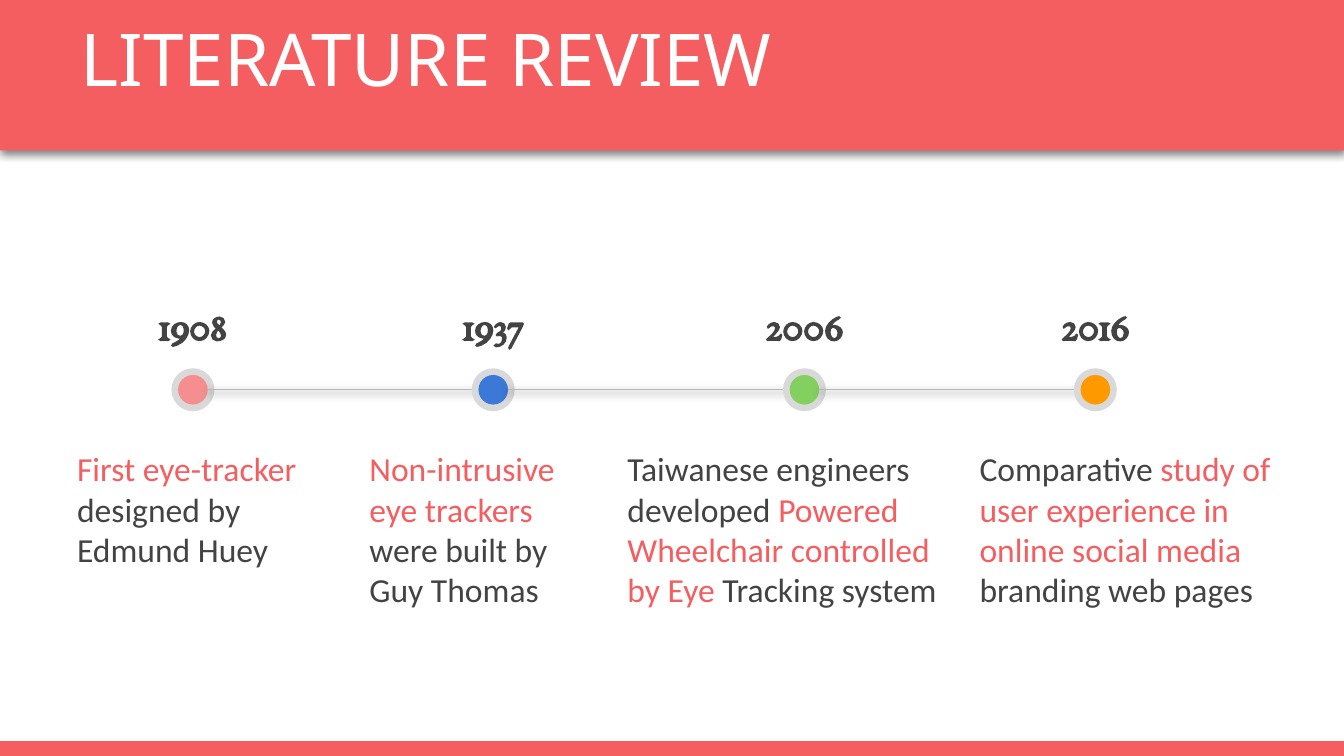
import pptx
import pptx.util
import pptx.dml.color
import pptx.enum.shapes
import pptx.enum.text
import pptx.oxml.ns
from lxml import etree
from pptx.util import Inches, Pt

CORAL, GRAY, WHITE = "F55E61", "434343", "FFFFFF"
WIDTH, HEIGHT = 10, 10 * 9 / 16
RING, DOT = 0.32, 0.22
AXIS_Y = 2.9

# Milestones: year, dot centre, dot colour, text left, text width, (text, colour) runs
MILESTONES = [
    ("1908", 1.435, "F58F8F", 0.475, 1.92,
     [("First eye-tracker", CORAL), (" designed by Edmund Huey", GRAY)]),
    ("1937", 3.67, "3C78D8", 2.65, 1.92,
     [("Non-intrusive eye trackers", CORAL), (" were built by Guy Thomas ", GRAY)]),
    ("2006", 5.985, "83D061", 4.57, 2.62,
     [("Taiwanese engineers developed ", GRAY),
      ("Powered Wheelchair controlled by Eye", CORAL),
      (" Tracking system", GRAY)]),
    ("2016", 8.15, "FF9900", 7.19, 2.44,
     [("Comparative ", GRAY),
      ("study of user experience in online social media", CORAL),
      (" branding web pages", GRAY)]),
]


def color(value):
    return pptx.dml.color.RGBColor.from_string(value)


def place(shape, left, top, width, height):
    shape.left, shape.top = Inches(left), Inches(top)
    shape.width, shape.height = Inches(width), Inches(height)


def fill_plain(shape, fill):
    shape.fill.solid()
    shape.fill.fore_color.rgb = color(fill)
    shape.line.fill.background()
    shape.shadow.inherit = False


def add_shadow(properties, opacity):
    """Give a shape or connector a soft shadow straight below it."""
    name = pptx.oxml.ns.qn
    effects = properties.find(name("a:effectLst"))
    if effects is None:
        effects = etree.SubElement(properties, name("a:effectLst"))
    shadow = etree.SubElement(
        effects, name("a:outerShdw"), blurRad=str(Pt(4.5)), dist=str(Pt(1.5)),
        dir="5400000", algn="bl", rotWithShape="0")
    shade = etree.SubElement(shadow, name("a:srgbClr"), val="000000")
    etree.SubElement(shade, name("a:alpha"), val=str(opacity * 1000))


def format_run(run, font, size, value, bold=False):
    run.font.name, run.font.size, run.font.bold = font, Pt(size), bold
    run.font.color.rgb = color(value)


def set_frame(shape, anchor):
    frame = shape.text_frame
    frame.word_wrap = True
    frame.auto_size = pptx.enum.text.MSO_AUTO_SIZE.NONE
    frame.vertical_anchor = anchor
    frame.margin_left = frame.margin_right = Inches(0.1)
    frame.margin_top = frame.margin_bottom = Inches(0.1)
    return frame


def add_title(slide, text):
    title = slide.shapes.title
    place(title, 0, 0, WIDTH, 1.12)
    fill_plain(title, CORAL)
    add_shadow(title.element.spPr, 50)
    frame = set_frame(title, pptx.enum.text.MSO_ANCHOR.TOP)
    frame.text = text
    paragraph = frame.paragraphs[0]
    paragraph.alignment = pptx.enum.text.PP_ALIGN.LEFT
    paragraph.line_spacing = 1.0
    paragraph_properties = paragraph._p.get_or_add_pPr()
    paragraph_properties.set("marL", str(Inches(0.5)))
    paragraph_properties.set("indent", "0")
    format_run(paragraph.runs[0], "Noto Sans", 39, WHITE)


def add_block(slide, kind, left, top, width, height, fill):
    shape = slide.shapes.add_shape(
        kind, Inches(left), Inches(top), Inches(width), Inches(height))
    fill_plain(shape, fill)


def add_circle(slide, center, diameter, fill):
    add_block(slide, pptx.enum.shapes.MSO_SHAPE.OVAL, center - diameter / 2,
              AXIS_Y - diameter / 2, diameter, diameter, fill)


def add_link(slide, start, end):
    line = slide.shapes.add_connector(
        pptx.enum.shapes.MSO_CONNECTOR.STRAIGHT,
        Inches(start), Inches(AXIS_Y), Inches(end), Inches(AXIS_Y))
    line.line.color.rgb = color("B7B7B7")
    line.line.width = Pt(0.75)
    add_shadow(line._element.spPr, 60)


def add_text(slide, left, top, width, height, runs, font, size,
             anchor, alignment, bold=False):
    box = slide.shapes.add_textbox(
        Inches(left), Inches(top), Inches(width), Inches(height))
    paragraph = set_frame(box, anchor).paragraphs[0]
    paragraph.alignment = alignment
    for text, value in runs:
        run = paragraph.add_run()
        run.text = text
        format_run(run, font, size, value, bold)


def main():
    presentation = pptx.Presentation()
    presentation.slide_width = Inches(WIDTH)
    presentation.slide_height = Inches(HEIGHT)
    slide = presentation.slides.add_slide(presentation.slide_layouts[5])
    anchors, alignments = pptx.enum.text.MSO_ANCHOR, pptx.enum.text.PP_ALIGN

    # Header and footer bands
    add_title(slide, "LITERATURE REVIEW")
    add_block(slide, pptx.enum.shapes.MSO_SHAPE.RECTANGLE,
              0, HEIGHT - 0.11, WIDTH, 0.11, CORAL)

    # Timeline: each link runs from one dot's edge to the next
    previous = None
    for year, center, fill, left, width, runs in MILESTONES:
        if previous is not None:
            add_link(slide, previous + DOT / 2, center - DOT / 2)
        add_circle(slide, center, RING, "D9D9D9")
        add_circle(slide, center, DOT, fill)
        previous = center

    # Years and descriptions
    for year, center, fill, left, width, runs in MILESTONES:
        add_text(slide, center - 0.585, 2.25, 1.17, 0.32, [(year, GRAY)],
                 "EB Garamond", 22, anchors.MIDDLE, alignments.CENTER, bold=True)
        add_text(slide, left, 3.235, width, 0.99, runs,
                 "Calibri", 18, anchors.TOP, alignments.LEFT)

    presentation.save("out.pptx")


main()
